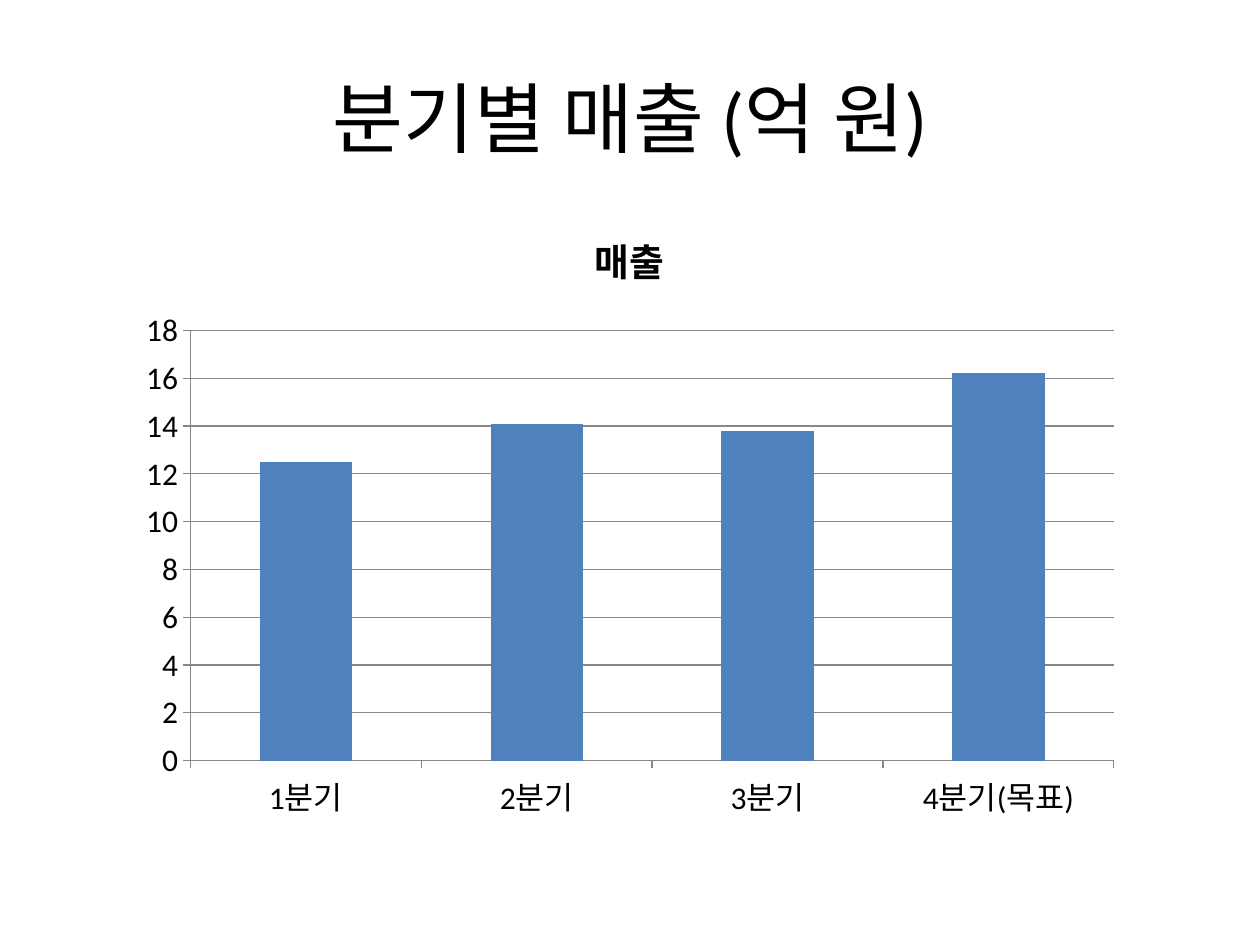
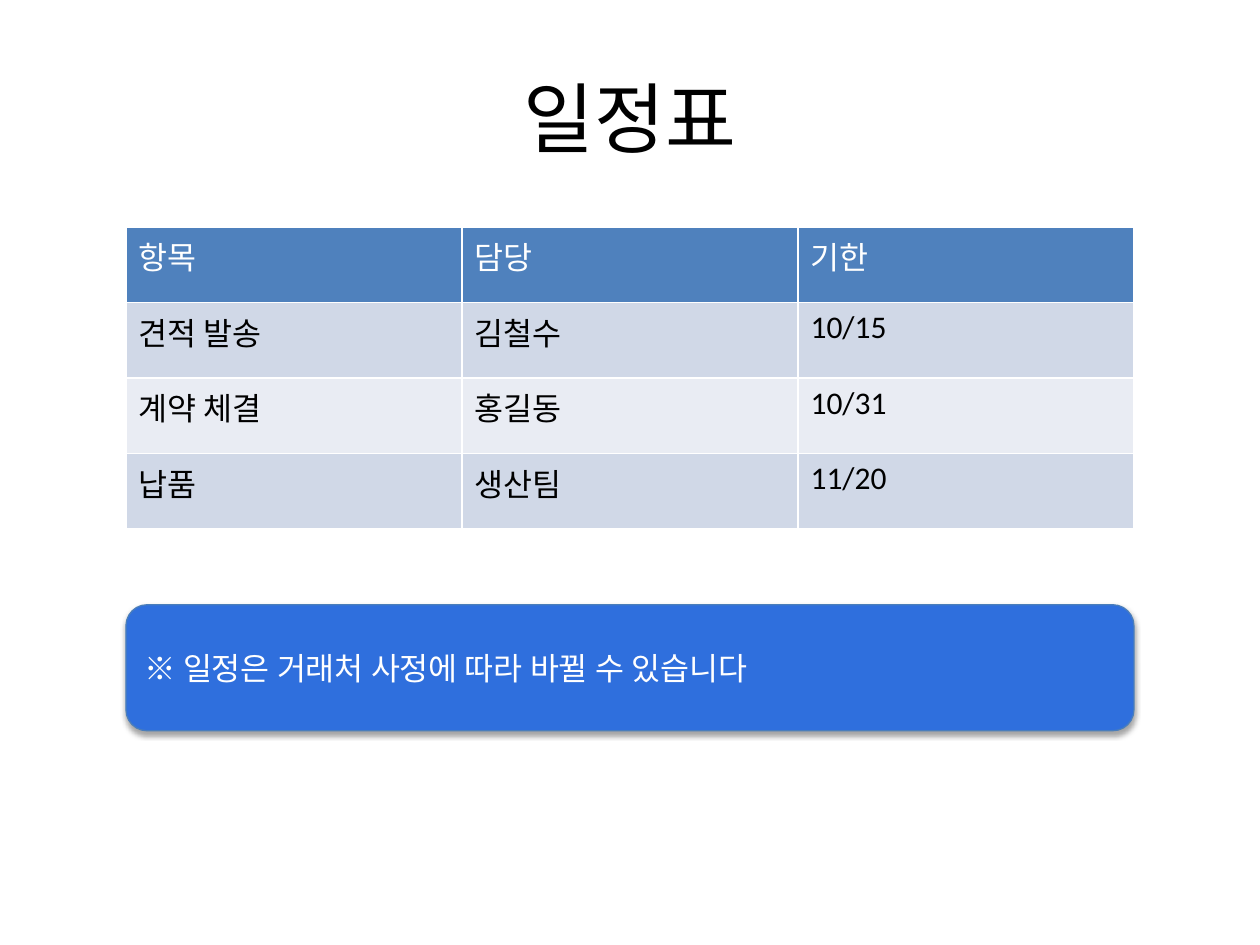
"""Build a quarterly sales chart slide and a schedule slide."""
import pptx
import pptx.chart.data
import pptx.dml.color
import pptx.enum.chart
import pptx.enum.shapes
import pptx.enum.text
import pptx.util

Pt = pptx.util.Pt
FONT = "Calibri"
LEFT, WIDTH = 72, 576
COLOURS = {
    "text": "000000",
    "white": "FFFFFF",
    "accent": "4F81BD",
    "odd_row": "D0D8E7",
    "even_row": "E9ECF3",
    "axis": "878787",
    "note": "2F6FDD",
    "note_edge": "4A7EBB",
}
SALES = {"1분기": 12.5, "2분기": 14.1, "3분기": 13.8, "4분기(목표)": 16.2}
SCHEDULE = [
    ["항목", "담당", "기한"],
    ["견적 발송", "김철수", "10/15"],
    ["계약 체결", "홍길동", "10/31"],
    ["납품", "생산팀", "11/20"],
]


def rgb(name):
    return pptx.dml.color.RGBColor.from_string(COLOURS[name])


def fill_solid(fill, colour):
    fill.solid()
    fill.fore_color.rgb = rgb(colour)


def format_font(font, size=18, colour="text", bold=False):
    font.name = FONT
    font.size = Pt(size)
    font.bold = bold
    font.color.rgb = rgb(colour)


def write_text(text_frame, text, align=pptx.enum.text.PP_ALIGN.LEFT, **font_format):
    paragraph = text_frame.paragraphs[0]
    paragraph.alignment = align
    run = paragraph.add_run()
    run.text = text
    format_font(run.font, **font_format)


def add_titled_slide(presentation, text):
    slide = presentation.slides.add_slide(presentation.slide_layouts[5])
    title = slide.shapes.title
    title.left, title.top, title.width, title.height = Pt(36), Pt(21.6), Pt(648), Pt(90)
    title.text_frame.vertical_anchor = pptx.enum.text.MSO_ANCHOR.MIDDLE
    write_text(title.text_frame, text, pptx.enum.text.PP_ALIGN.CENTER, size=44)
    return slide


def format_line(line, colour):
    line.color.rgb = rgb(colour)
    line.width = Pt(0.75)


def format_axis(axis):
    axis.major_tick_mark = pptx.enum.chart.XL_TICK_MARK.OUTSIDE
    axis.minor_tick_mark = pptx.enum.chart.XL_TICK_MARK.NONE
    format_font(axis.tick_labels.font)
    format_line(axis.format.line, "axis")


def add_column_chart(slide, name, values, top, height):
    chart_data = pptx.chart.data.CategoryChartData()
    chart_data.categories = list(values)
    chart_data.add_series(name, list(values.values()))
    chart = slide.shapes.add_chart(
        pptx.enum.chart.XL_CHART_TYPE.COLUMN_CLUSTERED,
        Pt(LEFT), Pt(top), Pt(WIDTH), Pt(height), chart_data,
    ).chart
    format_font(chart.font)
    chart.has_legend = False
    chart.has_title = True
    write_text(chart.chart_title.text_frame, name,
               pptx.enum.text.PP_ALIGN.CENTER, size=21.6, bold=True)
    chart.chart_title.include_in_layout = False
    for axis in (chart.category_axis, chart.value_axis):
        format_axis(axis)
    format_line(chart.value_axis.major_gridlines.format.line, "axis")
    plot = chart.plots[0]
    plot.gap_width = 150
    plot.vary_by_categories = False
    fill_solid(plot.series[0].format.fill, "accent")


def add_table(slide, rows, top, height):
    table = slide.shapes.add_table(
        len(rows), len(rows[0]), Pt(LEFT), Pt(top), Pt(WIDTH), Pt(height)
    ).table
    for row_index, row in enumerate(rows):
        if row_index == 0:
            fill, colour = "accent", "white"
        else:
            fill, colour = ("odd_row" if row_index % 2 else "even_row"), "text"
        for column_index, text in enumerate(row):
            cell = table.cell(row_index, column_index)
            fill_solid(cell.fill, fill)
            write_text(cell.text_frame, text, colour=colour)


def add_note(slide, text, top, height):
    shape = slide.shapes.add_shape(
        pptx.enum.shapes.MSO_SHAPE.ROUNDED_RECTANGLE,
        Pt(LEFT), Pt(top), Pt(WIDTH), Pt(height),
    )
    fill_solid(shape.fill, "note")
    format_line(shape.line, "note_edge")
    shape.text_frame.word_wrap = True
    shape.text_frame.vertical_anchor = pptx.enum.text.MSO_ANCHOR.MIDDLE
    write_text(shape.text_frame, text, colour="white")


def main():
    presentation = pptx.Presentation()
    presentation.slide_width, presentation.slide_height = Pt(720), Pt(540)

    sales_slide = add_titled_slide(presentation, "분기별 매출 (억 원)")
    add_column_chart(sales_slide, "매출", SALES, top=115.2, height=360)

    schedule_slide = add_titled_slide(presentation, "일정표")
    add_table(schedule_slide, SCHEDULE, top=129.6, height=172.8)
    add_note(schedule_slide, "※ 일정은 거래처 사정에 따라 바뀔 수 있습니다", top=345.6, height=72)

    presentation.save("out.pptx")


if __name__ == "__main__":
    main()
